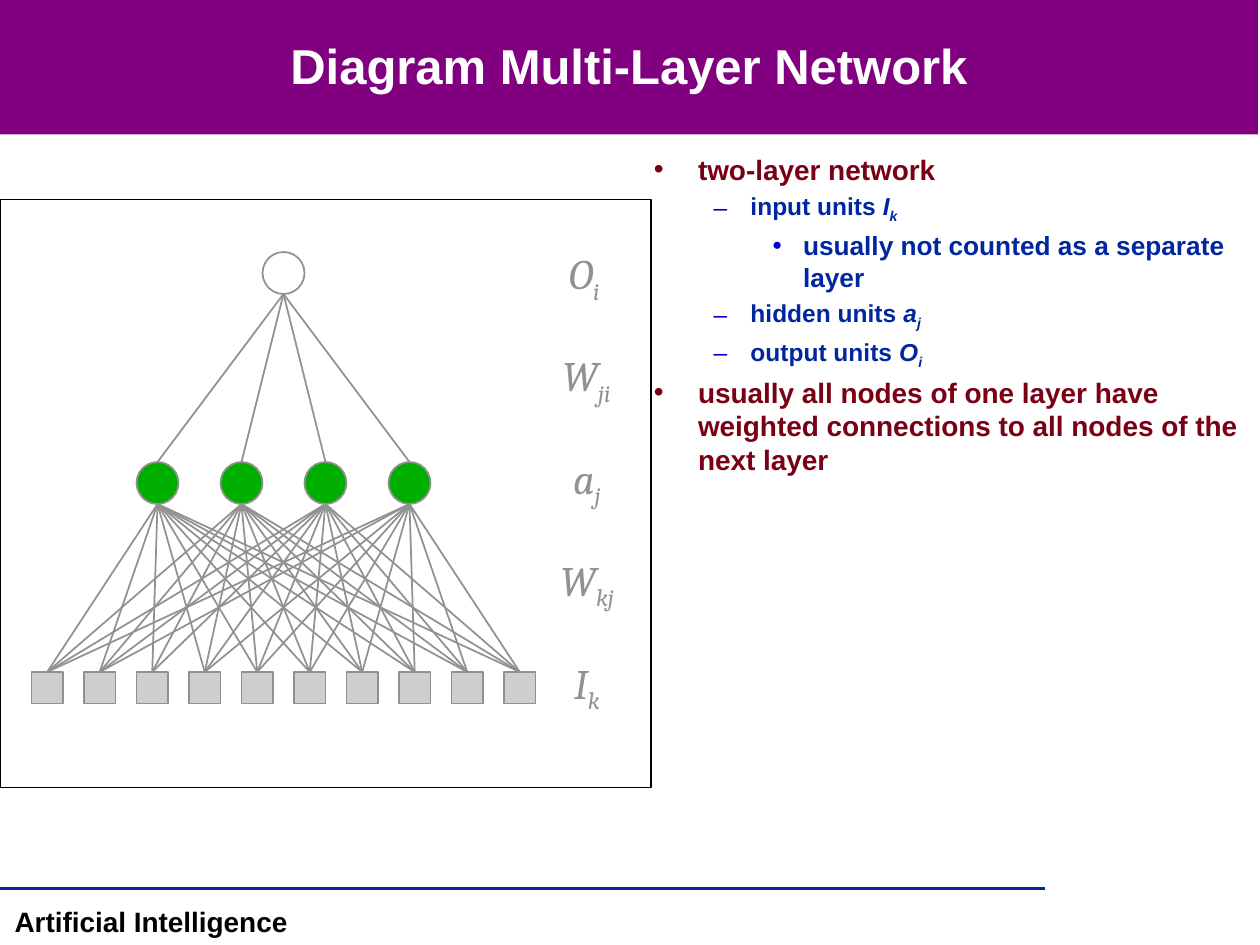
import pptx
import pptx.dml.color
import pptx.enum.shapes
import pptx.enum.text
import pptx.oxml.ns
import pptx.util
from lxml import etree

RGBColor = pptx.dml.color.RGBColor
MSO_SHAPE = pptx.enum.shapes.MSO_SHAPE
PP_ALIGN = pptx.enum.text.PP_ALIGN
MSO_ANCHOR = pptx.enum.text.MSO_ANCHOR
qn = pptx.oxml.ns.qn

PX = 7620
PURPLE = RGBColor(0x80, 0x00, 0x80)
WHITE = RGBColor(0xFF, 0xFF, 0xFF)
BLACK = RGBColor(0x00, 0x00, 0x00)
NAVY = RGBColor(0x00, 0x27, 0x9F)
BLUE = RGBColor(0x00, 0x00, 0xCC)
MAROON = RGBColor(0x79, 0x00, 0x15)
GRAY = RGBColor(0x91, 0x91, 0x91)
LIGHT_GRAY = RGBColor(0xCE, 0xCE, 0xCE)
GREEN = RGBColor(0x00, 0xAE, 0x00)


def write(paragraph, text, size, color, font="Arial", bold=True, italic=False, subscript=False):
    run = paragraph.add_run()
    run.text = text
    run.font.name = font
    run.font.size = pptx.util.Pt(size)
    run.font.color.rgb = color
    run.font.bold = bold
    run.font.italic = italic
    if subscript:
        run._r.get_or_add_rPr().set("baseline", "-25000")


def draw(kind, left, top, width, height, fill, line=None):
    shape = slide.shapes.add_shape(kind, left * PX, top * PX, width * PX, height * PX)
    shape.shadow.inherit = False
    shape.fill.solid()
    shape.fill.fore_color.rgb = fill
    if line is None:
        shape.line.fill.background()
    else:
        shape.line.color.rgb = line
        shape.line.width = pptx.util.Pt(1)
    return shape


presentation = pptx.Presentation()
presentation.slide_width = 1200 * PX
presentation.slide_height = 900 * PX
slide = presentation.slides.add_slide(presentation.slide_layouts[5])

draw(MSO_SHAPE.RECTANGLE, 0, 0, 1198, 128, PURPLE)
title = slide.shapes.title
slide.shapes._spTree.append(title._element)
title.left, title.top, title.width, title.height = 2 * PX, 1 * PX, 1194 * PX, 122 * PX
title.text_frame.vertical_anchor = MSO_ANCHOR.MIDDLE
title.text_frame.paragraphs[0].alignment = PP_ALIGN.CENTER
write(title.text_frame.paragraphs[0], "Diagram Multi-Layer Network", size=28, color=WHITE)

footer = slide.shapes.add_textbox(0, 856 * PX, 288 * PX, 44 * PX)
footer.text_frame.word_wrap = False
footer.text_frame.paragraphs[0].alignment = PP_ALIGN.CENTER
write(footer.text_frame.paragraphs[0], "Artificial Intelligence", size=16, color=BLACK)

draw(MSO_SHAPE.RECTANGLE, 0, 190, 620, 560, WHITE, line=BLACK)

outline = [
    (0, "two-layer network", "", ""),
    (1, "input units ", "I", "k"),
    (2, "usually not counted as a separate layer", "", ""),
    (1, "hidden units ", "a", "j"),
    (1, "output units ", "O", "i"),
    (0, "usually all nodes of one layer have weighted connections to all nodes of the next layer", "", ""),
]
levels = [
    (16, MAROON, MAROON, "•", 42, 42),
    (14, NAVY, BLUE, "–", 92, 35),
    (15, NAVY, BLUE, "•", 142, 29),
]
body = slide.shapes.add_textbox(611 * PX, 139 * PX, 588 * PX, 682 * PX)
body.text_frame.word_wrap = True
for index, (level, text, symbol, subscript) in enumerate(outline):
    size, color, bullet_color, bullet, margin, hanging = levels[level]
    paragraph = body.text_frame.add_paragraph() if index else body.text_frame.paragraphs[0]
    paragraph.level = level
    paragraph.space_before = pptx.util.Pt(3)
    properties = paragraph._p.get_or_add_pPr()
    properties.set("marL", str(margin * PX))
    properties.set("indent", str(-hanging * PX))
    bullet_fill = etree.SubElement(properties, qn("a:buClr"))
    etree.SubElement(bullet_fill, qn("a:srgbClr"), val=str(bullet_color))
    etree.SubElement(properties, qn("a:buFont"), typeface="Arial")
    etree.SubElement(properties, qn("a:buChar"), char=bullet)
    write(paragraph, text, size=size, color=color)
    if symbol:
        write(paragraph, symbol, size=size, color=color, italic=True)
        write(paragraph, subscript, size=size, color=color, italic=True, subscript=True)

draw(MSO_SHAPE.OVAL, 250, 240, 40, 40, WHITE, line=GRAY)
hidden_units = [draw(MSO_SHAPE.OVAL, 130 + 80 * j, 440, 40, 40, GREEN, line=GRAY) for j in range(4)]
input_units = [draw(MSO_SHAPE.RECTANGLE, 30 + 50 * k, 640, 30, 30, LIGHT_GRAY, line=GRAY) for k in range(10)]

links = [(hidden, 150 + 80 * j, 440, 270, 280) for j, hidden in enumerate(hidden_units)]
links += [
    (unit, 45 + 50 * k, 640, 150 + 80 * j, 480)
    for k, unit in enumerate(input_units)
    for j in range(4)
    if (k, j) != (2, 3)
]
lines = [(None, 0, 846, 995, 846, NAVY, 2)] + [(*link, GRAY, 1) for link in links]
for source, x1, y1, x2, y2, color, weight in lines:
    connector = slide.shapes.add_connector(
        pptx.enum.shapes.MSO_CONNECTOR.STRAIGHT, x1 * PX, y1 * PX, x2 * PX, y2 * PX
    )
    if source is not None:
        connector.begin_connect(source, 0)
    connector.line.color.rgb = color
    connector.line.width = pptx.util.Pt(weight)
    etree.SubElement(connector._element.spPr, qn("a:effectLst"))

labels = [("O", "i", 60), ("W", "ji", 72), ("a", "j", 52), ("W", "kj", 76), ("I", "k", 50)]
for index, (symbol, subscript, width) in enumerate(labels):
    top = 230 + index * 390 // 4
    label = slide.shapes.add_textbox((560 - width // 2) * PX, top * PX, width * PX, 60 * PX)
    label.text_frame.word_wrap = False
    paragraph = label.text_frame.paragraphs[0]
    write(paragraph, symbol, size=24, color=GRAY, font="Cambria", bold=False, italic=True)
    write(paragraph, subscript, size=24, color=GRAY, font="Cambria", bold=False, italic=True, subscript=True)

presentation.save("out.pptx")
